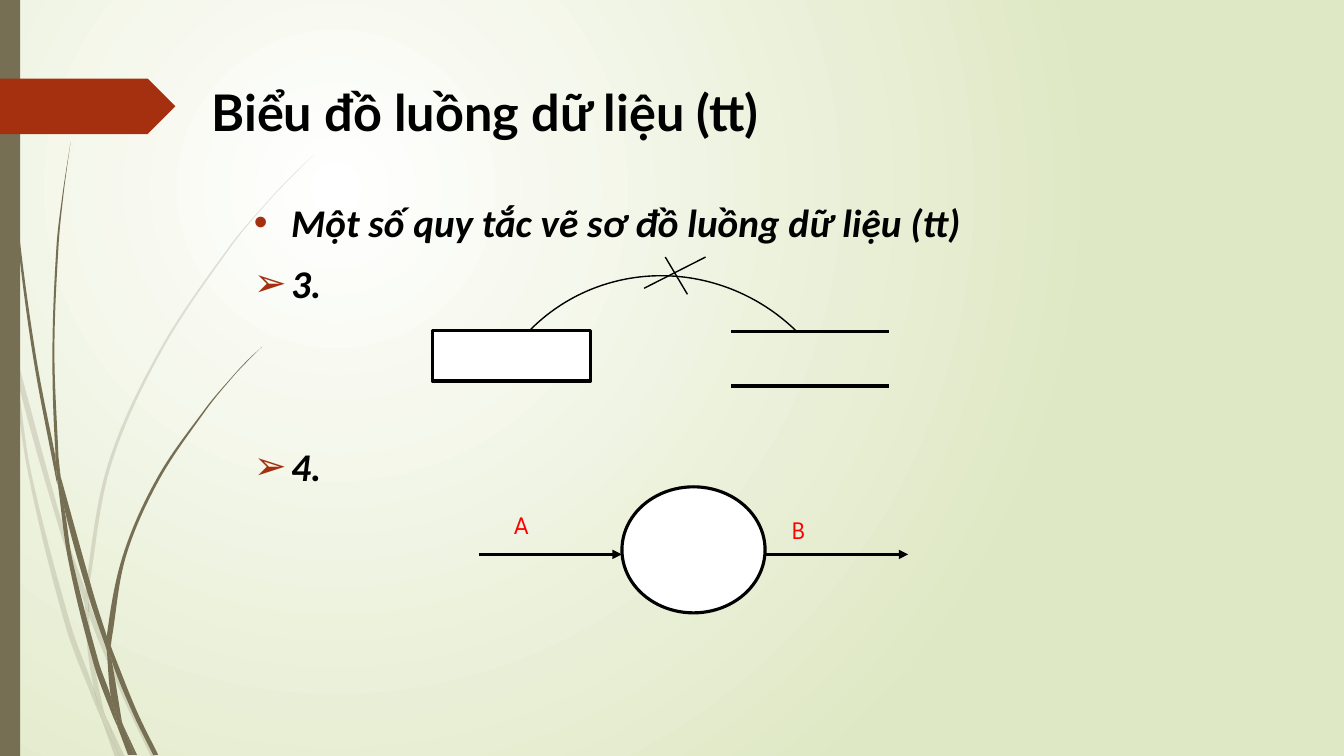
from dataclasses import dataclass
from math import hypot

from pptx import Presentation
from pptx.dml.color import RGBColor
from pptx.enum.shapes import MSO_CONNECTOR, MSO_SHAPE
from pptx.enum.text import MSO_ANCHOR
from pptx.oxml.ns import qn
from pptx.oxml.xmlchemy import OxmlElement
from pptx.util import Inches, Pt

HEIGHT = Inches(7.5)
WIDTH = HEIGHT * 16 // 9
CELL = HEIGHT / 75  # the slide is a grid of 75 rows of square cells

COLORS = {"ink": "000000", "paper": "FFFFFF", "meadow": "DFE8C4",
          "stem": "766F54", "tag": "A53010", "flow": "FF0000"}
FORMATS = {
    "title": {"name": "Lato", "size": Pt(36), "bold": True},
    "rule": {"name": "Calibri", "size": Pt(28), "bold": True, "italic": True},
    "flow": {"name": "League Spartan", "size": Pt(18)},
}
THIN, THICK = Pt(1), Pt(2.25)

# Each leaf is one edge out and one edge back, in (column, row) knots.
PALE_LEAVES = [
    ([(1.1, 35), (0.9, 32.2), (0, 28.2)], [(0, 29.9), (1, 34.4), (1.1, 35)]),
    ([(1.4, 34.5), (1.7, 37.6), (5.8, 52.2), (8.4, 59.9)],
     [(8.5, 58.6), (6.2, 52), (1.4, 34.5)]),
    ([(8.8, 59.6), (8.8, 61), (12.3, 69.4), (15, 75.1)],
     [(15.5, 75.1), (12.7, 69.2), (9.2, 60.7), (8.8, 59.6)]),
    ([(10.5, 71.1), (11.9, 75.1)], [(12.4, 75.1), (10.5, 71.1)]),
    ([(1.1, 35), (2.8, 47), (6.5, 62.1), (9.2, 69.3), (10.1, 71.4)],
     [(9.9, 70.7), (9.3, 68.3), (7, 61.9), (3.1, 46.9), (1.7, 37.6), (1.1, 35)]),
    ([(8.4, 59.9), (8.7, 64.6), (9.3, 68.3), (9.6, 69.2), (10.5, 71.1)],
     [(10.3, 70.6), (9.1, 64.6), (8.8, 61), (8.4, 59.9)]),
    ([(31.2, 15.3), (28.9, 17.5), (26.8, 19.7), (22.8, 24.4), (15.8, 34.8),
      (10.7, 46.1), (8.5, 58.4), (8.8, 59.6)],
     [(8.8, 58.4), (11, 46.2), (16, 34.9), (22.9, 24.5), (26.8, 19.8),
      (29, 17.5), (31.2, 15.3)]),
    ([(10.1, 71.4), (11.4, 75.1)], [(11.9, 75.1), (10.1, 71.4)]),
    ([(8.5, 58.6), (8.4, 59.9), (8.8, 60.8)], [(8.8, 61), (8.8, 59.6), (8.5, 58.6)]),
    ([(9.3, 68.3), (9.9, 70.7), (10.1, 71.4), (11.9, 75.1)],
     [(11.9, 75.1), (10.5, 71.1), (9.6, 69.2), (9.3, 68.3)]),
]
DARK_LEAVES = [
    ([(0.3, 0), (0.4, 4.8), (0.7, 11), (1.7, 23.3), (3.3, 35.5), (5.6, 47.7), (5.7, 48.1)],
     [(5.5, 45.3), (3.6, 35.5), (1.9, 23.2), (0.8, 10.9), (0.5, 4.8), (0.4, 0)]),
    ([(6, 47.2), (6.4, 50.5), (8.8, 59.2), (10.6, 64.5)],
     [(10.6, 63.1), (9.3, 59), (6, 47.2)]),
    ([(11, 64.1), (11.1, 65.6), (13.2, 70.8), (15.2, 74.9)],
     [(15.7, 74.9), (13.6, 70.6), (11.3, 64.9), (11, 64.1)]),
    ([(5.7, 47.7), (6.8, 55.7), (9.3, 65.9), (11.1, 70.8), (11.7, 72.2)],
     [(11.6, 71.7), (11, 69.1), (9.8, 65.7), (7.2, 55.6), (6.4, 50.5), (5.7, 47.7)]),
    ([(7, 14.1), (6.2, 19.3), (5.6, 24.5), (5.2, 34.9), (5.5, 44.9), (6, 47.2)],
     [(5.8, 45.3), (5.4, 34.9), (5.8, 24.5), (6.3, 19.3), (7, 14.1)]),
    ([(12.2, 71.9), (13.3, 74.9)], [(13.6, 74.9), (12.2, 71.9)]),
    ([(5.5, 44.9), (5.5, 45.3), (5.7, 47.7), (6.4, 50.5)], [(6, 47.2), (5.5, 44.9)]),
    ([(26, 34.4), (24.5, 35.8), (23.1, 37.3), (20.4, 40.5), (15.6, 47.4),
      (12.2, 55.1), (10.6, 63.1), (11, 64.1)],
     [(11.1, 63.3), (12.5, 55.2), (15.8, 47.6), (20.5, 40.6), (23.1, 37.4),
      (24.5, 35.9), (26, 34.4)]),
    ([(11.7, 72.2), (12.7, 74.9)], [(13.1, 74.9), (11.7, 72.2)]),
    ([(10.6, 64.5), (11, 69.1), (11.6, 70.6), (12.2, 71.9)],
     [(12.1, 71.6), (11.1, 65.6), (10.9, 65.1), (10.6, 64.5)]),
    ([(10.6, 63.1), (10.6, 64.5), (10.9, 65.1), (11.1, 65.6)],
     [(11, 64.1), (10.6, 63.1)]),
    ([(11, 69.1), (11.6, 71.7), (11.7, 72.2), (13, 74.9)],
     [(13.3, 74.9), (12.2, 71.9), (11.6, 70.6), (11, 69.1)]),
]


@dataclass
class Region:
    """A part of the slide; its contents are placed in cells from its corner."""
    slide: object
    left: float
    top: float

    def point(self, x, y):
        return round((self.left + x) * CELL), round((self.top + y) * CELL)

    def shape(self, preset, x, y, width, height, fill=None, line=None, weight=THICK):
        shape = self.slide.shapes.add_shape(
            preset, *self.point(x, y), round(width * CELL), round(height * CELL))
        paint(shape, fill, line, weight)
        return shape

    def line(self, x1, y1, x2, y2, weight=THICK, arrow=False):
        line = self.slide.shapes.add_connector(
            MSO_CONNECTOR.STRAIGHT, *self.point(x1, y1), *self.point(x2, y2))
        line.line.color.rgb = rgb("ink")
        line.line.width = weight
        if arrow:
            add_child(line._element.spPr.find(qn("a:ln")), "a:tailEnd", type="triangle")
        add_child(line._element.spPr, "a:effectLst")

    def text(self, x, y, width, height, wording, style, color="ink"):
        box = self.slide.shapes.add_textbox(
            *self.point(x, y), round(width * CELL), round(height * CELL))
        frame = box.text_frame
        frame.word_wrap = True
        frame.vertical_anchor = MSO_ANCHOR.TOP
        frame.text = wording
        for paragraph in frame.paragraphs:
            font = paragraph.runs[0].font
            font.color.rgb = rgb(color)
            for attribute, value in FORMATS[style].items():
                setattr(font, attribute, value)
        return frame


def rgb(color):
    return RGBColor.from_string(COLORS[color])


def add_child(parent, tag, **attributes):
    child = OxmlElement(tag)
    for name, value in attributes.items():
        child.set(name, str(value))
    parent.append(child)
    return child


def paint(shape, fill=None, line=None, weight=THICK):
    shape.shadow.inherit = False
    if fill:
        shape.fill.solid()
        shape.fill.fore_color.rgb = rgb(fill)
    else:
        shape.fill.background()
    if line:
        shape.line.color.rgb = rgb(line)
        shape.line.width = weight
    else:
        shape.line.fill.background()


def curve_handles(knots):
    """Two Bézier handles for each step between knots, along smooth tangents."""
    tangents = []
    for (x1, y1), (x2, y2) in zip(knots[:1] + knots[:-1], knots[1:] + knots[-1:]):
        length = hypot(x2 - x1, y2 - y1)
        tangents.append(((x2 - x1) / length, (y2 - y1) / length))
    handles = []
    for (x1, y1), (x2, y2), (u1, v1), (u2, v2) in zip(
            knots, knots[1:], tangents, tangents[1:]):
        reach = hypot(x2 - x1, y2 - y1) / 3
        handles.append([(x1 + u1 * reach, y1 + v1 * reach),
                        (x2 - u2 * reach, y2 - v2 * reach)])
    return handles


def draw_leaf(region, edge_out, edge_back, opacity):
    joined = edge_out[-1] == edge_back[0]
    knots = edge_out + edge_back[joined:]
    handles = curve_handles(edge_out) + [None] * (not joined) + curve_handles(edge_back)
    corners = [region.point(*knot) for knot in knots]
    builder = region.slide.shapes.build_freeform(*corners[0], scale=1.0)
    builder.add_line_segments(corners[1:], close=True)
    leaf = builder.convert_to_shape()
    for segment, pair in zip(list(leaf._element.iter(qn("a:lnTo"))), handles):
        if pair:
            curve = OxmlElement("a:cubicBezTo")
            for x, y in (region.point(*handle) for handle in pair):
                add_child(curve, "a:pt", x=x - leaf.left, y=y - leaf.top)
            curve.append(segment[0])
            segment.getparent().replace(segment, curve)
    paint(leaf, "stem")
    if opacity < 100:
        color = leaf._element.spPr.find(qn("a:solidFill"))[0]
        add_child(color, "a:alpha", val=opacity * 1000)


def draw_background(slide):
    fill = slide.background.fill
    fill.gradient()
    for stop, color in zip(fill.gradient_stops, ("paper", "meadow")):
        stop.color.rgb = rgb(color)
    gradient = slide.element.find(".//" + qn("a:gradFill"))
    gradient.remove(gradient.find(qn("a:lin")))
    glow = add_child(gradient, "a:path", path="circle")
    add_child(glow, "a:fillToRect", l=50000, t=50000, r=100000, b=100000)


def draw_side_decoration(region):
    for leaves, opacity in ((PALE_LEAVES, 20), (DARK_LEAVES, 100)):
        for edges in leaves:
            draw_leaf(region, *edges, opacity)
    region.shape(MSO_SHAPE.RECTANGLE, 0, 0, 2, 75, "stem")
    region.shape(MSO_SHAPE.PENTAGON, 0, 7.8, 17.4, 5.5, "tag")


def write_rules(region):
    frame = region.text(0, 0, 97.5, 41.3,
                        "Một số quy tắc vẽ sơ đồ luồng dữ liệu (tt)\n3.\n4.", "rule")
    for paragraph, bullet, gap in zip(frame.paragraphs, "•➢➢", (10, 10, 97)):
        paragraph.space_before = Pt(gap)
        properties = paragraph._p.get_or_add_pPr()
        for side, indent in (("marL", Inches(0.37)), ("indent", -Inches(0.37))):
            properties.set(side, str(indent))
        add_child(add_child(properties, "a:buClr"), "a:srgbClr", val=COLORS["tag"])
        add_child(properties, "a:buFont", typeface="Arial")
        add_child(properties, "a:buChar", char=bullet)


def draw_forbidden_flow(region):
    """An entity and a data store, joined by a crossed-out arc."""
    arc = region.shape(MSO_SHAPE.ARC, 4.7, 1.6, 37, 38, line="ink", weight=THIN)
    arc.rotation = 314.6
    region.line(27.1, 0, 21, 3.1, THIN)
    region.line(23.1, 0, 25.3, 3.7, THIN)
    region.shape(MSO_SHAPE.RECTANGLE, 0, 7.3, 15.7, 5, "paper", "ink")
    for store_edge in (7.4, 12.8):
        region.line(29.6, store_edge, 45.3, store_edge)


def draw_process(region):
    """A process circle with one flow in and one flow out."""
    side = 14.2
    region.shape(MSO_SHAPE.OVAL, side, 0, side, 12.5, "paper", "ink")
    for flow, start, label_x, label_y in (("A", 0, 2.5, 1.7), ("B", 2 * side, 30.1, 2.2)):
        region.line(start, 6.7, start + side, 6.7, arrow=True)
        region.text(label_x, label_y, 8.5, 4, flow, "flow", "flow")


def main():
    deck = Presentation()
    deck.slide_width, deck.slide_height = WIDTH, HEIGHT
    slide = deck.slides.add_slide(deck.slide_layouts[6])
    draw_background(slide)
    draw_side_decoration(Region(slide, 0, 0))
    write_rules(Region(slide, 24.2, 19.2))
    Region(slide, 20, 7.6).text(0, 0, 97.5, 8.1, "Biểu đồ luồng dữ liệu (tt)", "title")
    draw_forbidden_flow(Region(slide, 42.9, 25.5))
    draw_process(Region(slide, 47.5, 48.3))
    deck.save("out.pptx")


if __name__ == "__main__":
    main()
